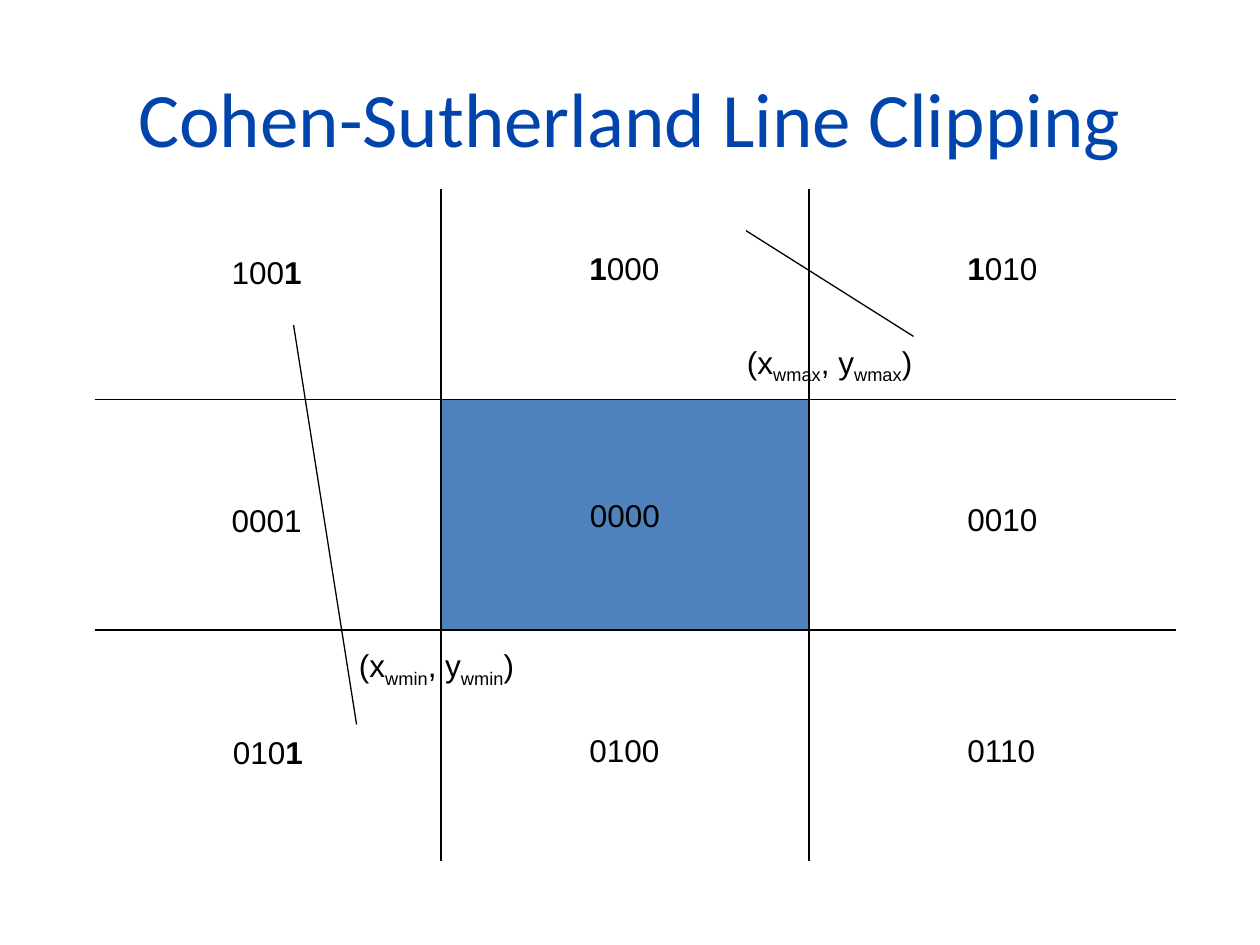
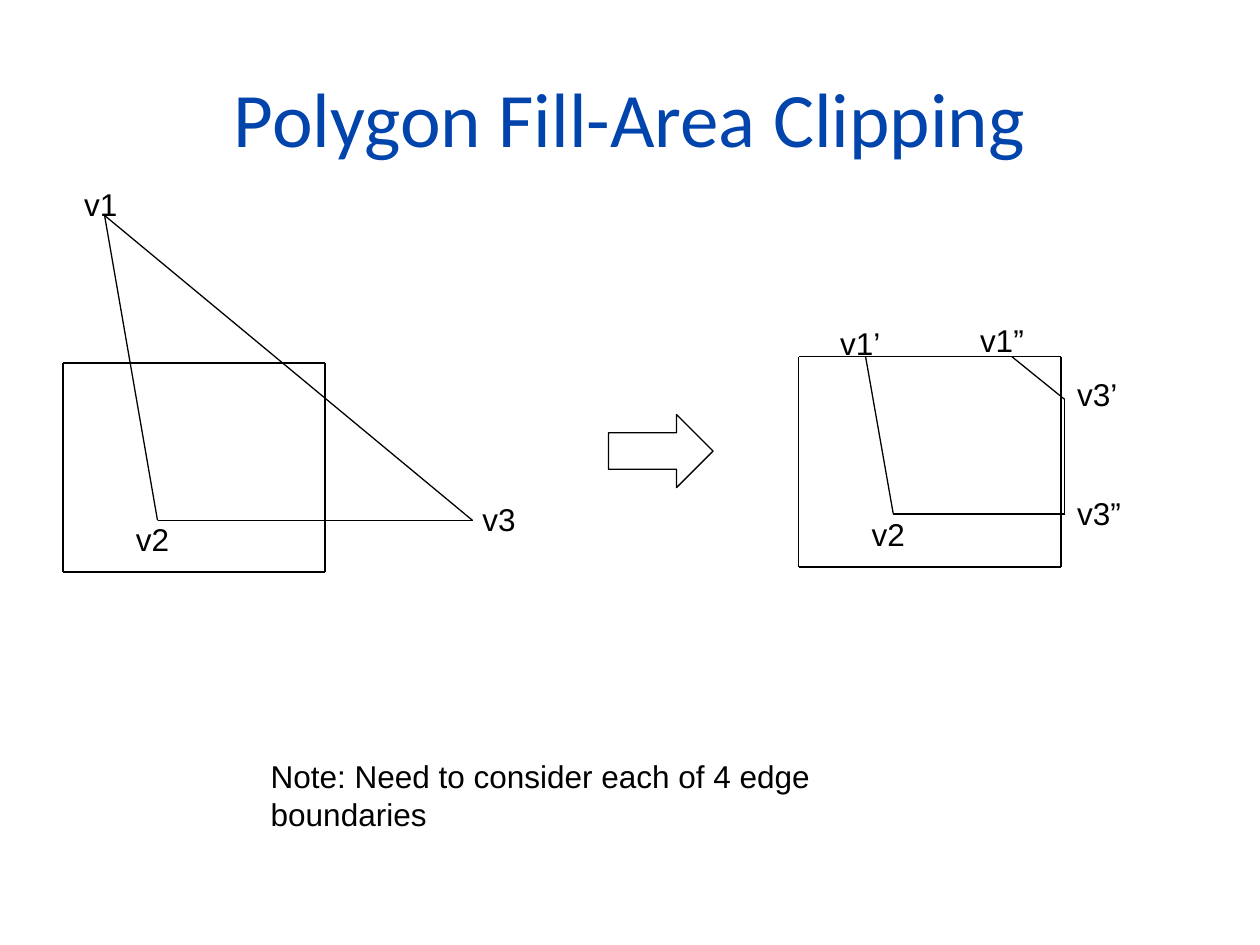
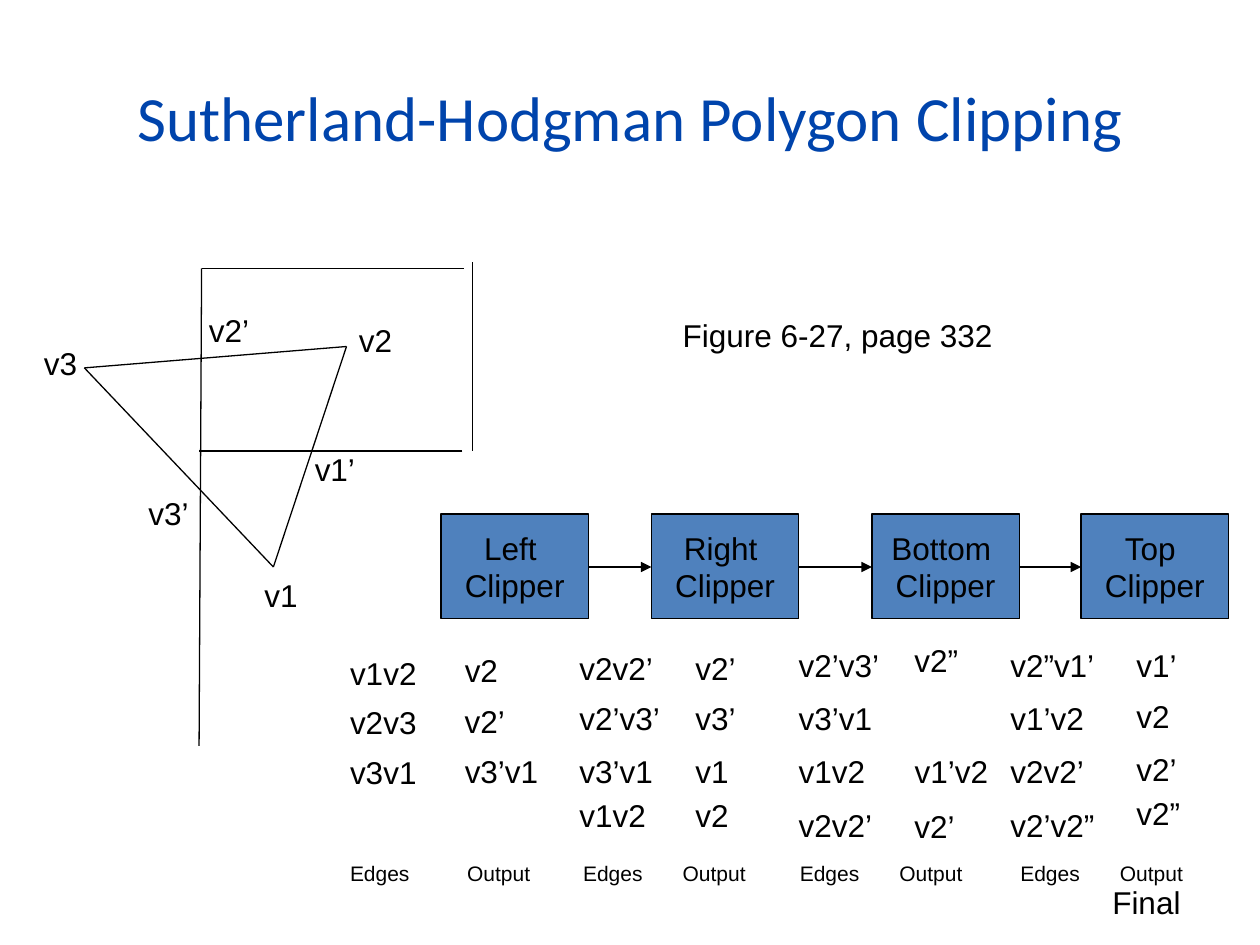
from itertools import pairwise

from lxml import etree
from pptx import Presentation
from pptx.dml.color import RGBColor
from pptx.enum.shapes import MSO_CONNECTOR, MSO_SHAPE
from pptx.enum.text import MSO_ANCHOR, MSO_AUTO_SIZE, PP_ALIGN
from pptx.oxml.ns import qn
from pptx.util import Inches, Pt

RECT, ARROW = MSO_SHAPE.RECTANGLE, MSO_SHAPE.RIGHT_ARROW
LINE = MSO_CONNECTOR.STRAIGHT
MIDDLE, TOP = MSO_ANCHOR.MIDDLE, MSO_ANCHOR.TOP
CENTER, LEFT = PP_ALIGN.CENTER, PP_ALIGN.LEFT
GROW = MSO_AUTO_SIZE.SHAPE_TO_FIT_TEXT

COLORS = {"title": "0044AC", "ink": "000000", "fill": "4F81BD"}
# Glyph widths at 18 points, in inches
GLYPHS = {"v": 0.125, "’": 0.06, "”": 0.08}
DIGIT = 0.14


def color(name):
    return RGBColor.from_string(COLORS[name])


class Deck:
    """Holds the shared style and the current slide."""

    def __init__(self):
        self.show = Presentation()
        self.show.slide_width, self.show.slide_height = Inches(10), Inches(7.5)
        self.slide = None

    def page(self, title, size=44):
        self.slide = self.show.slides.add_slide(self.show.slide_layouts[6])
        box = self.slide.shapes.add_textbox(
            Inches(0.5), Inches(0.3), Inches(9), Inches(1.25))
        box.text_frame.word_wrap = True
        box.text_frame.vertical_anchor = MIDDLE
        para = box.text_frame.paragraphs[0]
        para.alignment = CENTER
        self.run(para, title, size, "Calibri", "title")

    def run(self, para, text, size=18, face="Arial", tint="ink", mark=""):
        run = para.add_run()
        run.text = text
        font = run.font
        font.size, font.name = Pt(size), face
        font.color.rgb = color(tint)
        if mark == "bold":
            font.bold = True
        elif mark == "sub":
            run._r.get_or_add_rPr().set("baseline", "-25000")

    def text(self, x, y, runs, width=None, size=18, wrap=False, tab=None):
        """Place one line of text, given as a string or (text, mark) pairs."""
        if isinstance(runs, str):
            runs = [(runs, "")]
        if width is None:
            width = 0.2 + sum(GLYPHS.get(c, DIGIT) for t, _ in runs for c in t)
        box = self.slide.shapes.add_textbox(
            Inches(x), Inches(y), Inches(width), Inches(0.1 + size / 60))
        frame = box.text_frame
        frame.word_wrap = wrap
        frame.auto_size = GROW
        frame.vertical_anchor = TOP
        para = frame.paragraphs[0]
        para.alignment = LEFT
        if tab:
            tabs = etree.SubElement(para._p.get_or_add_pPr(), qn("a:tabLst"))
            etree.SubElement(tabs, qn("a:tab"), pos=str(Inches(tab)), algn="l")
        for part, mark in runs:
            self.run(para, part, size, mark=mark)

    def shape(self, kind, x, y, width, height, fill=None, lines=()):
        shape = self.slide.shapes.add_shape(
            kind, Inches(x), Inches(y), Inches(width), Inches(height))
        shape.shadow.inherit = False
        if fill:
            shape.fill.solid()
            shape.fill.fore_color.rgb = color(fill)
        else:
            shape.fill.background()
        shape.line.color.rgb = color("ink")
        shape.line.width = Pt(0.75)
        frame = shape.text_frame
        frame.vertical_anchor = MIDDLE
        for i, line in enumerate(lines):
            para = frame.add_paragraph() if i else frame.paragraphs[0]
            para.alignment = CENTER
            self.run(para, line)

    def line(self, start, end, head=False):
        line = self.slide.shapes.add_connector(
            LINE, *(Inches(n) for n in (*start, *end)))
        line.line.color.rgb = color("ink")
        line.line.width = Pt(0.75)
        props = line._element.spPr
        if head:
            etree.SubElement(props.find(qn("a:ln")), qn("a:tailEnd"),
                             type="triangle")
        etree.SubElement(props, qn("a:effectLst"))

    def chain(self, *points):
        for start, end in pairwise(points):
            self.line(start, end)

    def frame(self, x, y, right, low):
        self.chain((x, y), (right, y), (right, low), (x, low), (x, y))


def line_clip(deck):
    deck.page("Cohen-Sutherland Line Clipping")
    # Clip window and the lines that extend its edges
    deck.shape(RECT, 3.5, 3.17, 2.92, 1.83, "fill", ["0000"])
    for x in (3.5, 6.42):
        deck.line((x, 1.5), (x, 6.83))
    for y in (3.17, 5):
        deck.line((0.75, y), (9.33, y))
    # Region codes
    codes = [
        (1.74, 1.96, [("100", ""), ("1", "bold")]),
        (4.58, 1.93, [("1", "bold"), ("000", "")]),
        (7.58, 1.93, [("1", "bold"), ("010", "")]),
        (1.74, 3.93, "0001"),
        (7.58, 3.92, "0010"),
        (1.75, 5.77, [("010", ""), ("1", "bold")]),
        (4.58, 5.75, "0100"),
        (7.58, 5.75, "0110"),
    ]
    for code in codes:
        deck.text(*code)
    # Sample lines and window corners
    deck.line((2.33, 2.58), (2.83, 5.75))
    deck.line((5.92, 1.83), (7.25, 2.67))
    for x, y, sub, width in ((2.75, 5.08, "wmin", 1.55),
                             (5.83, 2.67, "wmax", 1.64)):
        deck.text(x, y, [("(x", ""), (sub, "sub"), (", y", ""),
                         (sub, "sub"), (")", "")], width)


def fill_clip(deck):
    deck.page("Polygon Fill-Area Clipping")
    # Triangle over the window
    deck.frame(0.5, 2.88, 2.58, 4.54)
    deck.chain((0.83, 1.71), (1.25, 4.13), (3.75, 4.13), (0.83, 1.71))
    # Clipped result
    deck.shape(ARROW, 4.83, 3.29, 0.83, 0.58)
    deck.frame(6.34, 2.83, 8.42, 4.5)
    deck.chain((8.12, 2.83), (6.87, 2.83), (7.09, 4.08), (8.45, 4.08),
               (8.45, 3.17), (8.03, 2.83))
    # Vertex names
    for name in ((0.57, 1.42, "v1"), (0.98, 4.08, "v2"), (3.73, 3.92, "v3"),
                 (6.57, 2.52, "v1’"), (7.68, 2.5, "v1”"), (6.82, 4.04, "v2"),
                 (8.45, 2.93, "v3’"), (8.45, 3.87, "v3”")):
        deck.text(*name)
    deck.text(2.05, 5.96, "Note: Need to consider each of 4 edge boundaries",
              5.78, wrap=True)


def chain_clip(deck):
    deck.page("Sutherland-Hodgman Polygon Clipping", 36)
    # Window edges and triangle
    deck.line((1.6, 2.13), (1.58, 5.92))
    deck.line((3.68, 2.13), (1.6, 2.13))
    deck.line((3.67, 3.58), (1.58, 3.58))
    deck.line((3.75, 2.08), (3.75, 3.58))
    deck.chain((0.67, 2.92), (2.17, 4.5), (2.75, 2.75), (0.67, 2.92))
    for name in ((2.75, 2.5, "v2"), (2, 4.52, "v1"), (0.25, 2.68, "v3"),
                 (2.4, 3.52, "v1’"), (1.56, 2.42, "v2’"), (1.08, 3.87, "v3’")):
        deck.text(*name)
    deck.text(5.32, 2.46, "Figure 6-27, page 332", 2.66)
    # Row of clippers
    wide = 1.17
    lefts = (3.5, 5.17, 6.92, 8.58)
    for x, side in zip(lefts, ("Left ", "Right ", "Bottom ", "Top ")):
        deck.shape(RECT, x, 4.08, wide, 0.83, "fill", [side, "Clipper"])
    for x, after in pairwise(lefts):
        deck.line((x + wide, 4.5), (after, 4.5), head=True)
    # Edges and output of each clipper: left, tops, words
    columns = [
        (2.68, (5.14, 5.53, 5.93), "v1v2 v2v3 v3v1"),
        (3.59, (5.12, 5.52, 5.92), "v2 v2’ v3’v1"),
        (4.5, (5.1, 5.5, 5.92, 6.27), "v2v2’ v2’v3’ v3’v1 v1v2"),
        (5.42, (5.1, 5.5, 5.92, 6.27), "v2’ v3’ v1 v2"),
        (6.24, (5.08, 5.5, 5.92, 6.35), "v2’v3’ v3’v1 v1v2 v2v2’"),
        (7.16, (5.04, 5.92, 6.36), "v2” v1’v2 v2’"),
        (7.92, (5.08, 5.5, 5.92, 6.35), "v2”v1’ v1’v2 v2v2’ v2’v2”"),
        (8.92, (5.08, 5.48, 5.9, 6.25), "v1’ v2 v2’ v2”"),
    ]
    for x, tops, words in columns:
        for y, word in zip(tops, words.split()):
            deck.text(x, y, word)
    # Column captions
    for x, width, tab in ((2.68, 1.64, 0.93), (4.53, 1.5, 0.79),
                          (6.25, 1.5, 0.79), (8, 1.5, 0.79)):
        deck.text(x, 6.78, "Edges\tOutput", width, 12, wrap=True, tab=tab)
    deck.text(8.73, 6.96, "Final", 0.74)


def main():
    deck = Deck()
    line_clip(deck)
    fill_clip(deck)
    chain_clip(deck)
    deck.show.save("out.pptx")


if __name__ == "__main__":
    main()
